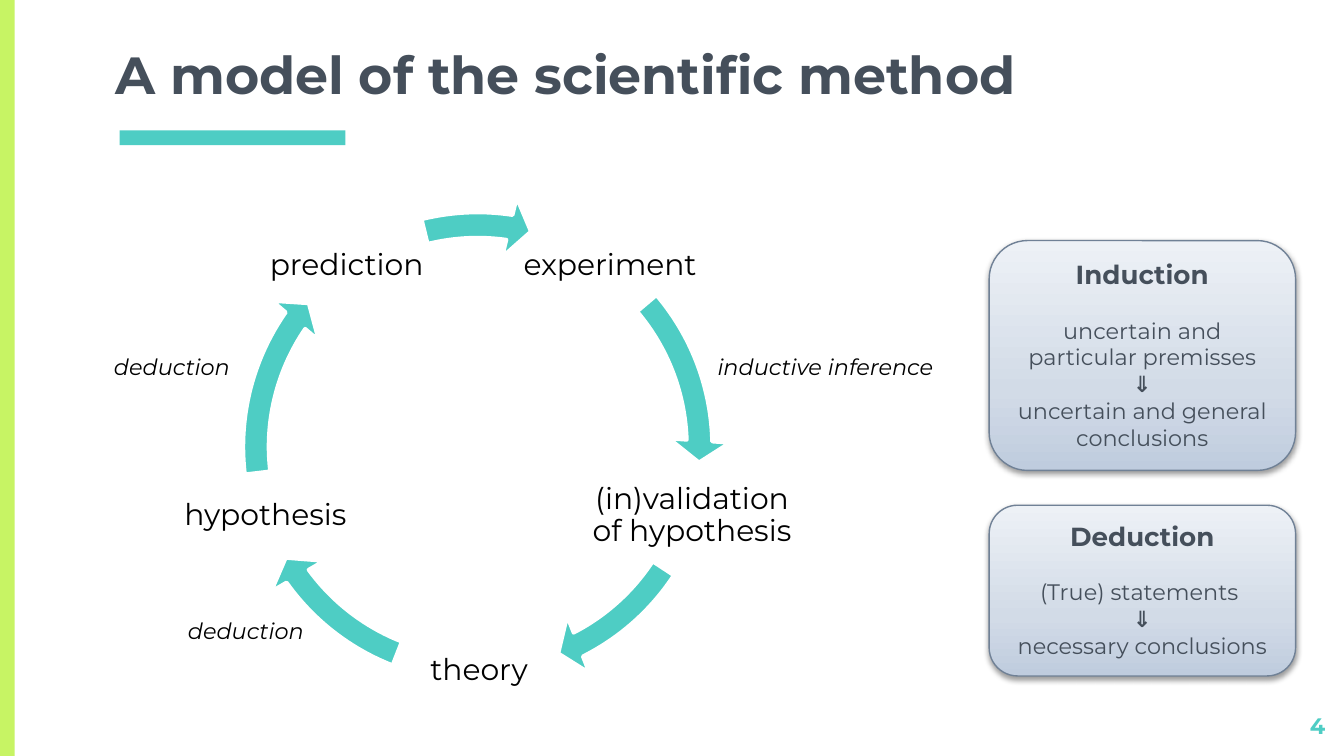
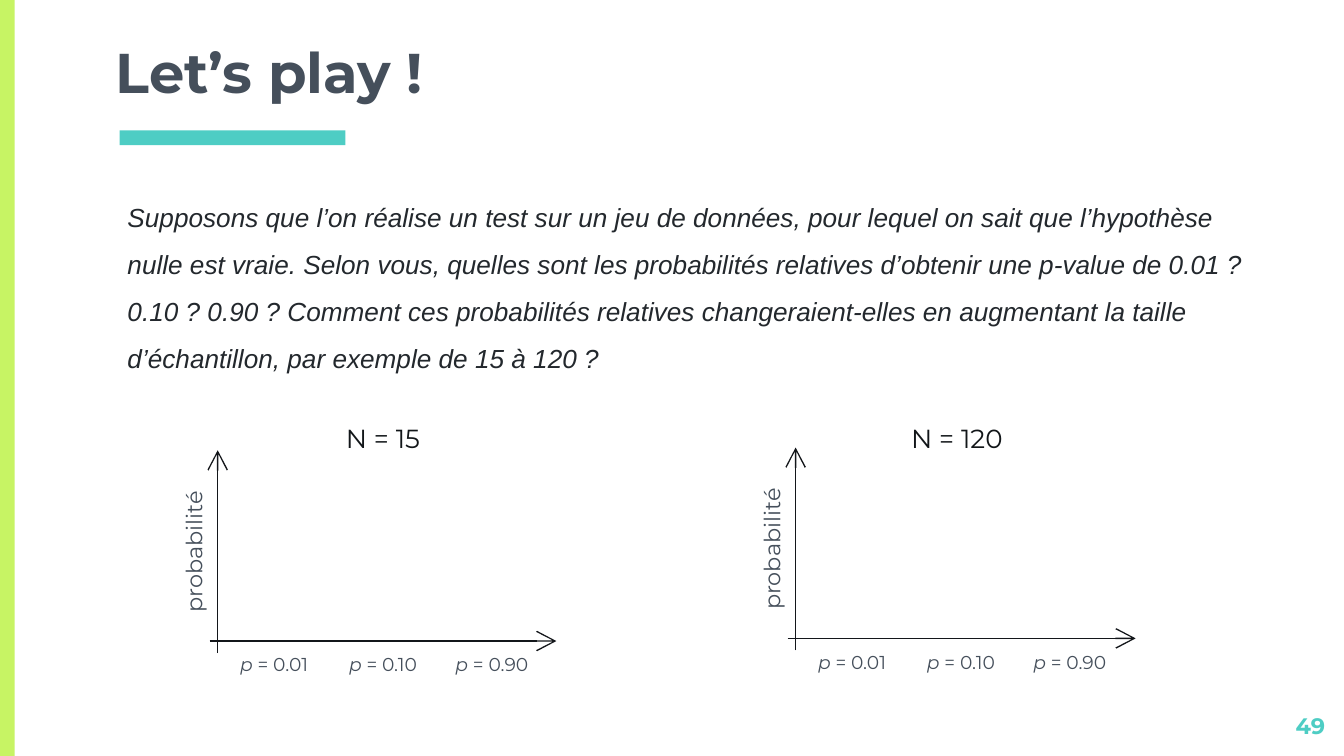
from copy import deepcopy
from lxml.etree import SubElement
from pptx import Presentation
from pptx.dml.color import RGBColor
from pptx.enum.shapes import MSO_CONNECTOR, MSO_SHAPE
from pptx.enum.text import MSO_ANCHOR, MSO_AUTO_SIZE, PP_ALIGN
from pptx.oxml.ns import qn
from pptx.util import Pt

PX = 9144  # 100 px to the inch
TEAL, LIME, SLATE, BLACK = "4ECDC4", "C7F464", "454F5B", "000000"
LEFT, MID, RIGHT = PP_ALIGN.LEFT, PP_ALIGN.CENTER, PP_ALIGN.RIGHT


def px(*vals):
    return [v * PX for v in vals]


def rgb(code):
    return RGBColor.from_string(code)


# Text
def write(par, text, lead="", size=12, color=SLATE, bold=False, italic=False,
          font="Montserrat", align=MID, line=None, before=None, after=None):
    """Fill one paragraph; lead is an italic start."""
    par.alignment = align
    if line:
        par.line_spacing = line
    if before:
        par.space_before = Pt(before)
    if after:
        par.space_after = Pt(after)

    def run(words, slant):
        part = par.add_run()
        part.text = words
        face = part.font
        face.name, face.size = font, Pt(size)
        face.bold, face.italic = bold, slant
        face.color.rgb = rgb(color)

    if lead:
        run(lead, True)
    for i, words in enumerate(text.split("\n")):
        if i:
            par.add_line_break()
        run(words, italic)


def setup(frame, anchor=MSO_ANCHOR.TOP, pad=(10, 10), wrap=True):
    frame.auto_size = MSO_AUTO_SIZE.NONE
    frame.word_wrap = wrap
    frame.vertical_anchor = anchor
    frame.margin_left = frame.margin_right = pad[0] * PX
    frame.margin_top = frame.margin_bottom = pad[1] * PX


def label(slide, box, text, anchor=MSO_ANCHOR.TOP, pad=(10, 10), wrap=True,
          turn=0, **fmt):
    item = slide.shapes.add_textbox(*px(*box))
    item.rotation = turn
    setup(item.text_frame, anchor, pad, wrap)
    write(item.text_frame.paragraphs[0], text, **fmt)


# Shapes
def shape(slide, kind, box, fill=None, edge=None, width=1):
    item = slide.shapes.add_shape(kind, *px(*box))
    item.shadow.inherit = False
    if fill:
        item.fill.solid()
        item.fill.fore_color.rgb = rgb(fill)
    if edge:
        item.line.color.rgb = rgb(edge)
        item.line.width = Pt(width)
    else:
        item.line.fill.background()
    return item


def arrow(slide, *ends):
    item = slide.shapes.add_connector(MSO_CONNECTOR.STRAIGHT, *px(*ends))
    item.line.color.rgb = rgb("13161A")
    item.line.width = Pt(0.75)
    props = item._element.spPr
    SubElement(props.find(qn("a:ln")), qn("a:tailEnd"), type="arrow",
               w="lg", len="lg")
    SubElement(props, qn("a:effectLst"))


# Bands, title and page number
def base(deck, title, size, page):
    slide = deck.slides.add_slide(deck.slide_layouts[5])
    shape(slide, MSO_SHAPE.RECTANGLE, (89, 97, 168, 11), TEAL)
    band = shape(slide, MSO_SHAPE.RECTANGLE, (0, 0, 11, 562), LIME)
    band.height = deck.slide_height
    head = slide.shapes.title
    head.left, head.top, head.width, head.height = px(76, -18, 849, 106)
    setup(head.text_frame, MSO_ANCHOR.BOTTOM)
    write(head.text_frame.paragraphs[0], title, size=size, bold=True,
          align=LEFT)
    label(slide, (936, 520, 60, 34), page, color=TEAL, bold=True, align=RIGHT)
    return slide


# Ring of five steps
STEPS = [  # offset and size of the label, text
    (216, 26, 140, 54, "experiment"),
    (252, 199, 190, 80, "(in)validation\nof hypothesis"),
    (128, 331, 121, 47, "theory"),
    (-45, 207, 149, 64, "hypothesis"),
    (25, 26, 130, 54, "prediction"),
]
ARCS = [(319.68, 358.41), (33.24, 63.07), (111.33, 144.35),
        (173.27, 214.72), (256.16, 278.24)]  # start and end in degrees
NOTES = [(-38, 309, 106, "deduction"), (-93, 113, 106, "deduction"),
         (356, 113, 181, "inductive inference")]


def cycle(slide, x, y, side):
    for (dx, dy, w, h, text), (start, end) in zip(STEPS, ARCS):
        label(slide, (x + dx, y + dy, w, h), text, MSO_ANCHOR.MIDDLE, (2, 2),
              size=16, color=BLACK, line=0.9, after=6.7)
        arc = shape(slide, MSO_SHAPE.CIRCULAR_ARROW, (x, y, side, side),
                    TEAL, "FFFFFF", 2)
        for i, val in enumerate((0.05, 3.36, end * 0.6, start * 0.6, 0.06)):
            arc.adjustments[i] = val
    for dx, dy, w, text in NOTES:
        label(slide, (x + dx, y + dy, w, 30), text, pad=(10, 5), wrap=False,
              color=BLACK, italic=True, align=LEFT)


# Shaded card: heading, premise, arrow, result
def card(slide, box, name, start, end):
    item = shape(slide, MSO_SHAPE.ROUNDED_RECTANGLE, box, None, "708196", 0.75)
    fill = item.fill
    fill.gradient()
    fill.gradient_angle = 90
    props = item._element.spPr
    stops = props.find(".//" + qn("a:gsLst"))
    stops.append(deepcopy(stops[0]))
    tones = [(0, "BFCCDE"), (0.35, "D2DBE7"), (1, "EDF1F6")]
    for stop, (place, tone) in zip(fill.gradient_stops, tones):
        stop.position = place
        stop.color.rgb = rgb(tone)
    glow = SubElement(props.find(qn("a:effectLst")), qn("a:outerShdw"),
                      blurRad=str(Pt(3.1)), dist=str(Pt(1.6)), dir="5400000",
                      rotWithShape="0")
    tint = SubElement(glow, qn("a:srgbClr"), val=BLACK)
    SubElement(tint, qn("a:alpha"), val="38000")

    frame = item.text_frame
    setup(frame, pad=(10, 5))
    write(frame.paragraphs[0], name, size=14, bold=True)
    write(frame.add_paragraph(), start, before=14.4)
    write(frame.add_paragraph(), "⇓", bold=True)
    write(frame.add_paragraph(), end)


# Empty axes with three p-values; head is the offset of the name
def plot(slide, x, y, w, h, name, head):
    label(slide, (x - 119, y + 56, 213, 39), "probabilité", turn=270)
    arrow(slide, x + 6, y + h, x + 6, y)
    arrow(slide, x, y + h - 9, x + w, y + h - 9)
    for i, val in enumerate(("0.01", "0.10", "0.90")):
        label(slide, (x + 81 * i, y + h - 10, 96, 39), f" = {val}", lead="p",
              size=10)
    label(slide, (x + head[0], y + head[1], 96, 39), name, size=14,
          color="121619")


def model(deck):
    slide = base(deck, "A model of the scientific method", 28, "4")
    cycle(slide, 168, 145, 375)
    card(slide, (736, 376, 228, 127), "Deduction", "(True) statements ",
         "necessary conclusions")
    card(slide, (736, 179, 228, 171), "Induction",
         "uncertain and particular premisses",
         "uncertain and general conclusions")


def play(deck):
    slide = base(deck, "Let’s play !", 30, "49")
    label(slide, (85, 133, 865, 150),
          "Supposons que l’on réalise un test sur un jeu de données, pour "
          "lequel on sait que l’hypothèse nulle est vraie. Selon vous, "
          "quelles sont les probabilités relatives d’obtenir une p-value de "
          "0.01 ? 0.10 ? 0.90 ? Comment ces probabilités relatives "
          "changeraient-elles en augmentant la taille d’échantillon, par "
          "exemple de 15 à 120 ?",
          pad=(10, 5), size=14, font="Arial", color="23282D", italic=True,
          align=LEFT, line=1.5)
    plot(slide, 156, 335, 258, 151, "N = 15", (81, -31))
    plot(slide, 586, 333, 259, 151, "N = 120", (78, -29))


def main():
    deck = Presentation()
    deck.slide_width = 1000 * PX
    deck.slide_height = deck.slide_width * 9 // 16
    model(deck)
    play(deck)
    deck.save("out.pptx")


if __name__ == "__main__":
    main()
